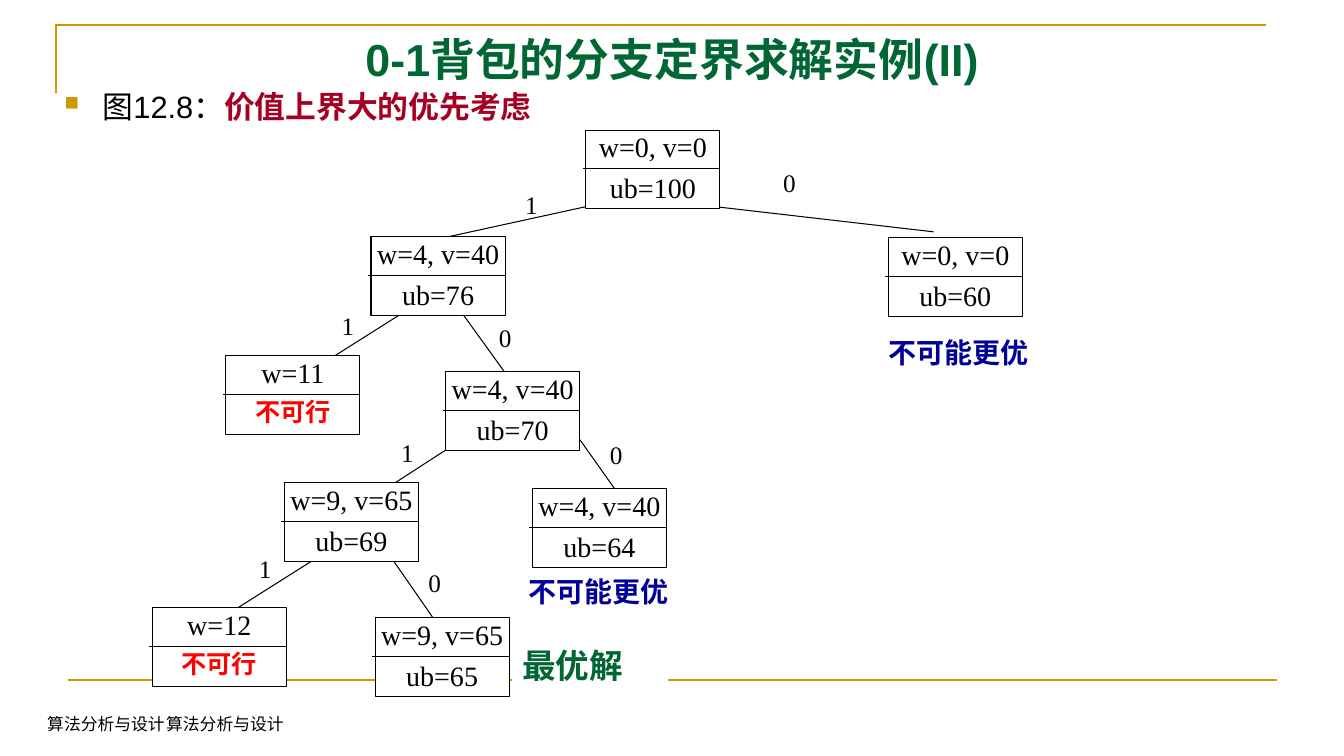
from lxml import etree
from pptx import Presentation
from pptx.dml.color import RGBColor
from pptx.enum import shapes, text
from pptx.oxml.ns import qn
from pptx.util import Inches, Pt

COLORS = {"gold": "CC9900", "green": "006633", "crimson": "A50021", "black": "000000",
          "white": "FFFFFF", "red": "FF0000", "navy": "000099"}
SERIF, SANS = "Times New Roman", "Arial"

TITLE = "0-1背包的分支定界求解实例(II)"
LEAD = [("图12.8：", "black", False), ("价值上界大的优先考虑", "crimson", True)]
FOOTER = "算法分析与设计"
FOOTER_BOXES = [(0.37, 6.98, 4.22, 0.35), (1.55, 6.98, 3.43, 0.35)]
INFEASIBLE = "不可行"

# left, top, load and value, bound
NODES = [
    (5.81, 1.29, "w=0, v=0", "ub=100"),
    (3.68, 2.35, "w=4, v=40", "ub=76"),
    (2.24, 3.53, "w=11", INFEASIBLE),
    (4.42, 3.69, "w=4, v=40", "ub=70"),
    (2.82, 4.79, "w=9, v=65", "ub=69"),
    (1.51, 6.03, "w=12", INFEASIBLE),
    (3.72, 6.13, "w=9, v=65", "ub=65"),
    (5.28, 4.85, "w=4, v=40", "ub=64"),
    (8.81, 2.36, "w=0, v=0", "ub=60"),
]
NODE_W, NODE_H, DIVIDER_Y = 1.33, 0.78, 0.38
LABEL_W, LABEL_H = 1.41, 0.83

# branch, parent end, child end, offset of the branch label from the edge's top left
ONE, ZERO = (0.27, -0.02), (0.25, 0.02)
EDGES = [
    ("1", (6.18, 1.97), (4.44, 2.35), (0.67, -0.14)),
    ("0", (7.09, 2.05), (9.26, 2.30), (0.58, -0.44)),
    ("1", (4.08, 3.05), (3.02, 3.72), ONE),
    ("0", (4.60, 3.13), (5.04, 3.74), ZERO),
    ("1", (4.66, 4.31), (3.61, 4.99), ONE),
    ("0", (5.70, 4.29), (6.14, 4.91), ZERO),
    ("1", (3.26, 5.46), (2.20, 6.13), ONE),
    ("0", (3.90, 5.56), (4.33, 6.18), ZERO),
]
# wording, box, size, colour, fill
VERDICTS = [
    ("最优解", (5.08, 6.27, 1.55, 0.54), 24, "green", "white"),
    ("不可能更优", (5.14, 5.58, 1.86, 0.46), 20, "navy", None),
    ("不可能更优", (8.71, 3.21, 1.89, 0.46), 20, "navy", None),
]

prs = Presentation()
prs.slide_width, prs.slide_height = Inches(13.33), Inches(7.5)
slide = prs.slides.add_slide(prs.slide_layouts[6])


def rgb(name):
    return RGBColor.from_string(COLORS[name])


def add_line(start, end, color="black", width=0.75):
    line = slide.shapes.add_connector(
        shapes.MSO_CONNECTOR.STRAIGHT, *map(Inches, (*start, *end)))
    line.line.color.rgb, line.line.width = rgb(color), Pt(width)
    etree.SubElement(line._element.spPr, qn("a:effectLst"))


def add_box(bounds, wrap=True, anchor=text.MSO_ANCHOR.TOP):
    box = slide.shapes.add_textbox(*map(Inches, bounds))
    box.text_frame.word_wrap, box.text_frame.vertical_anchor = wrap, anchor
    return box


def add_run(paragraph, wording, size, font=SERIF, color="black", bold=False):
    run = paragraph.add_run()
    run.text = wording
    for key, value in {"size": Pt(size), "name": font, "bold": bold}.items():
        setattr(run.font, key, value)
    run.font.color.rgb = rgb(color)


def add_frame():
    corner = slide.shapes.build_freeform(Inches(0.56), Inches(0.92))
    corner.add_line_segments(
        [(Inches(0.56), Inches(0.25)), (Inches(12.56), Inches(0.25))], close=False)
    bracket = corner.convert_to_shape()
    bracket.shadow.inherit = False
    bracket.fill.background()
    bracket.line.color.rgb, bracket.line.width = rgb("gold"), Pt(1.5)
    add_line((0.67, 6.75), (12.67, 6.75), "gold", 1.5)


def add_heading():
    title = add_box((1.79, 0.21, 9.75, 0.77)).text_frame.paragraphs[0]
    title.alignment, title.line_spacing = text.PP_ALIGN.CENTER, 1.1
    add_run(title, TITLE, 32, SANS, "green", True)

    lead = add_box((0.54, 0.78, 11.01, 5.55)).text_frame.paragraphs[0]
    lead.line_spacing = 1.1
    props = lead._p.get_or_add_pPr()
    props.set("marL", str(Inches(0.38)))
    props.set("indent", str(-Inches(0.38)))
    bullet_color = etree.SubElement(props, qn("a:buClr"))
    etree.SubElement(bullet_color, qn("a:srgbClr"), val=COLORS["gold"])
    etree.SubElement(props, qn("a:buSzPct"), val="65000")
    etree.SubElement(props, qn("a:buChar"), char="■")
    for wording, color, bold in LEAD:
        add_run(lead, wording, 22, SANS, color, bold)


def add_edge(branch, parent, child, offset):
    add_line(parent, child)
    left, top = min(parent[0], child[0]) + offset[0], parent[1] + offset[1]
    label = add_box((left, top, 0.33, 0.4), wrap=False)
    add_run(label.text_frame.paragraphs[0], branch, 18)


def add_node(left, top, load, bound):
    frame = slide.shapes.add_shape(
        shapes.MSO_SHAPE.RECTANGLE, *map(Inches, (left, top, NODE_W, NODE_H)))
    frame.shadow.inherit = False
    frame.fill.solid()
    frame.fill.fore_color.rgb = rgb("white")
    frame.line.color.rgb, frame.line.width = rgb("black"), Pt(0.75)

    label_left = left + (NODE_W - LABEL_W) / 2
    label = add_box((label_left, top - 0.05, LABEL_W, LABEL_H), wrap=False).text_frame
    upper, lower = label.paragraphs[0], label.add_paragraph()
    upper.alignment = lower.alignment = text.PP_ALIGN.CENTER
    lower.space_before = Pt(4.8)
    add_run(upper, load, 20)
    if bound == INFEASIBLE:
        add_run(lower, bound, 18, color="red", bold=True)
    else:
        add_run(lower, bound, 20)
    add_line((left - 0.03, top + DIVIDER_Y), (left + NODE_W, top + DIVIDER_Y))


def add_verdict(wording, bounds, size, color, fill):
    box = add_box(bounds)
    if fill:
        box.fill.solid()
        box.fill.fore_color.rgb = rgb(fill)
    verdict = box.text_frame.paragraphs[0]
    verdict.alignment, verdict.line_spacing = text.PP_ALIGN.JUSTIFY, 1.2
    add_run(verdict, wording, size, SANS, color, True)


add_frame()
add_heading()
for bounds in FOOTER_BOXES:
    footer = add_box(bounds, anchor=text.MSO_ANCHOR.BOTTOM)
    add_run(footer.text_frame.paragraphs[0], FOOTER, 12)
for edge in EDGES:
    add_edge(*edge)
for node in NODES:
    add_node(*node)
for verdict_row in VERDICTS:
    add_verdict(*verdict_row)

prs.save("out.pptx")
